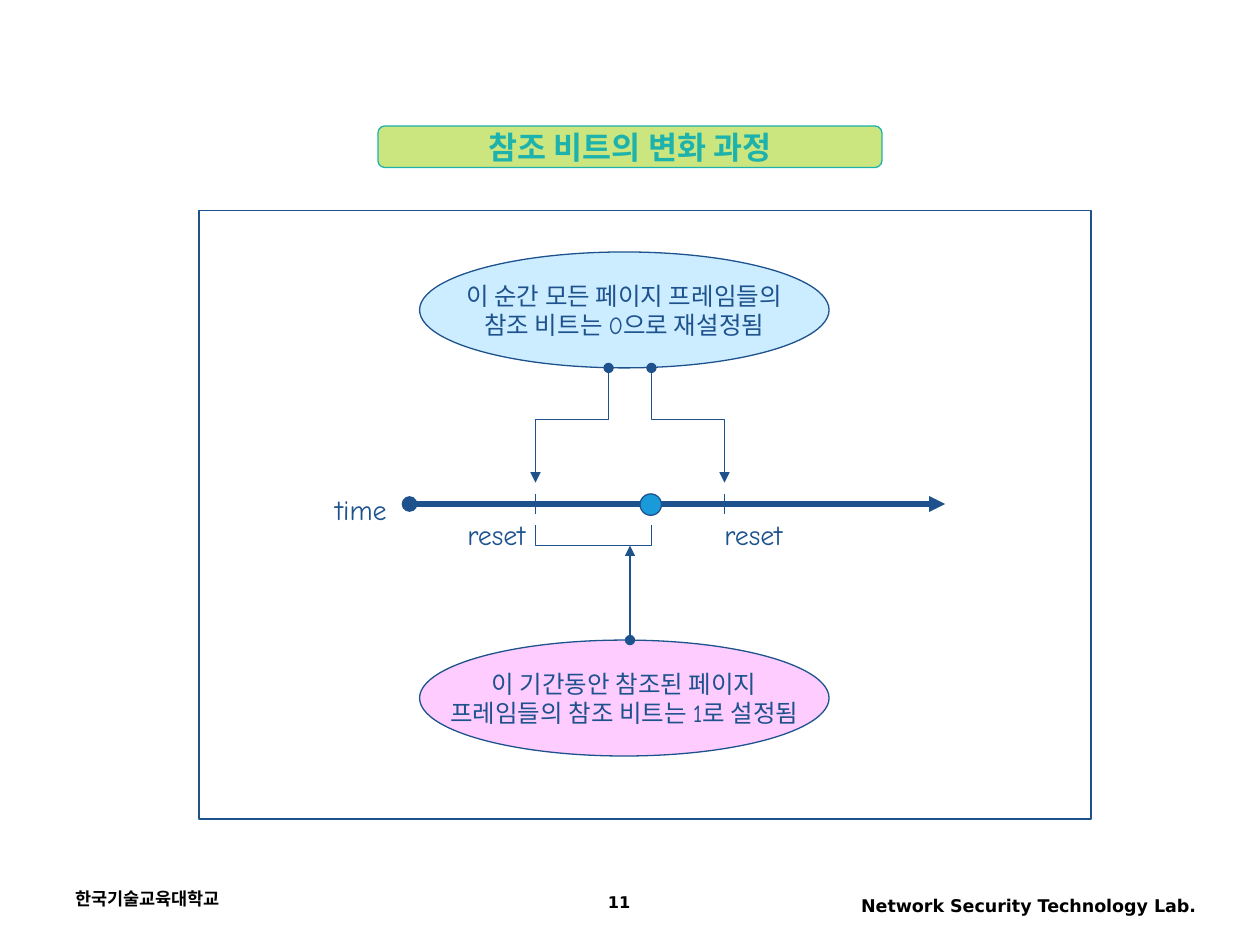
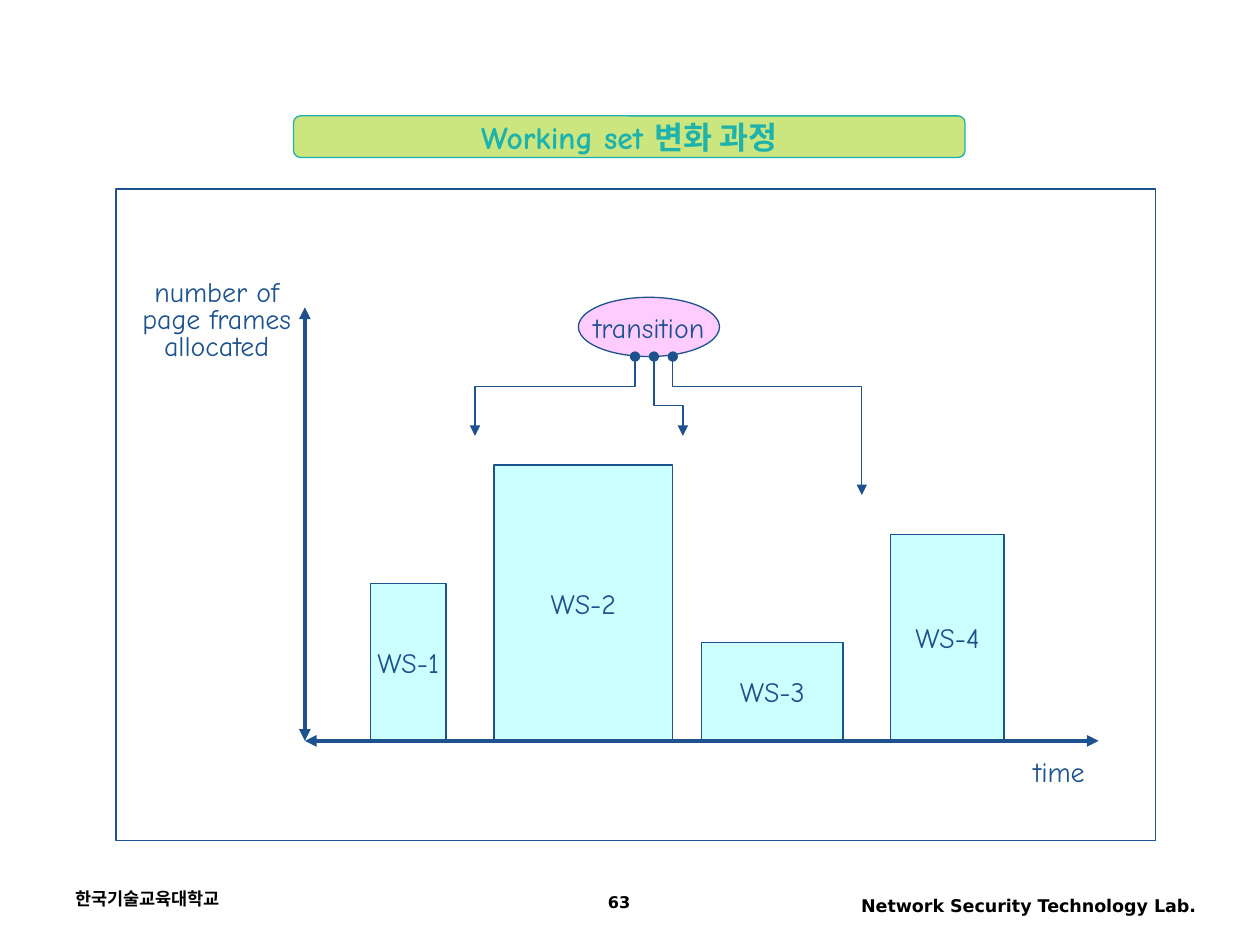
from pptx import Presentation
from pptx.dml.color import RGBColor
from pptx.enum.shapes import MSO_CONNECTOR, MSO_SHAPE
from pptx.enum.text import MSO_ANCHOR, MSO_AUTO_SIZE, PP_ALIGN
from pptx.oxml.ns import qn
from pptx.util import Inches, Pt
from lxml import etree

RECT = MSO_SHAPE.RECTANGLE
OVAL = MSO_SHAPE.OVAL
DOT = MSO_SHAPE.FLOWCHART_CONNECTOR
BAND = MSO_SHAPE.FLOWCHART_ALTERNATE_PROCESS
STRAIGHT = MSO_CONNECTOR.STRAIGHT
LEFT, CENTER, RIGHT = PP_ALIGN.LEFT, PP_ALIGN.CENTER, PP_ALIGN.RIGHT
MIDDLE = MSO_ANCHOR.MIDDLE
FIT, FIXED = MSO_AUTO_SIZE.SHAPE_TO_FIT_TEXT, MSO_AUTO_SIZE.NONE

NAVY, TEAL, LIME, BLACK, WHITE = "1D528D", "1DB3AC", "99CC00", "000000", "FFFFFF"
SKY, PINK, AQUA, BLUE = "CCECFF", "FFCCFF", "CCFFFF", "1B9AD9"
HAND, SANS, NARROW = "Comic Neue", "DejaVu Sans", "Arial Narrow"


def color(code):
    return RGBColor.from_string(code)


class Deck:
    """Hold the shared style and the current slide."""

    def __init__(self):
        self.prs = Presentation()
        self.prs.slide_width, self.prs.slide_height = Inches(10), Inches(7.5)
        self.slide = None

    def page(self, number, title, font, band, frame):
        self.slide = self.prs.slides.add_slide(self.prs.slide_layouts[5])
        self.foot((0.5, 7, 2.33, 0.33), "한국기술교육대학교", LEFT)
        self.foot((6.42, 7.05, 3.17, 0.32), "Network Security Technology Lab.", RIGHT)
        self.foot((3.75, 7.05, 2.33, 0.28), number, CENTER, 9.2, 0.9)
        self.shape(RECT, frame, WHITE)
        self.title(title, font, band)

    def put(self, frame, lines, size=16, font=HAND, ink=NAVY, bold=False,
            align=CENTER, space=None):
        for i, line in enumerate(lines):
            para = frame.paragraphs[0] if i == 0 else frame.add_paragraph()
            para.alignment = align
            para.line_spacing = space
            run = para.add_run()
            run.text = line
            run.font.size, run.font.name, run.font.bold = Pt(size), font, bold
            run.font.color.rgb = color(ink)

    def box(self, place):
        return self.slide.shapes.add_textbox(*map(Inches, place)).text_frame

    def foot(self, place, text, align, size=10, space=None):
        frame = self.box(place)
        frame.word_wrap = True
        self.put(frame, [text], size, SANS, BLACK, True, align, space)

    def label(self, place, *lines, space=None):
        frame = self.box(place)
        frame.word_wrap = False
        frame.auto_size = FIT
        self.put(frame, lines, space=space)

    def title(self, text, font, place):
        band = self.shape(BAND, place, LIME, ink=TEAL)
        tint = band.element.spPr.find(qn("a:solidFill"))[0]
        etree.SubElement(tint, qn("a:alpha")).set("val", "50000")
        head = self.slide.shapes.title
        head.left, head.top, head.width, head.height = map(Inches, place)
        head.element.getparent().append(head.element)
        frame = head.text_frame
        frame.auto_size = FIXED
        frame.word_wrap = False
        frame.vertical_anchor = MIDDLE
        self.put(frame, [text], 18, font, TEAL, True)

    def shape(self, kind, place, fill, lines=(), size=16, ink=NAVY):
        item = self.slide.shapes.add_shape(kind, *map(Inches, place))
        item.shadow.inherit = False
        item.fill.solid()
        item.fill.fore_color.rgb = color(fill)
        self.stroke(item, ink=ink)
        item.text_frame.word_wrap = False
        item.text_frame.vertical_anchor = MIDDLE
        self.put(item.text_frame, lines, size)
        return item

    def stroke(self, item, width=0.75, head=None, tail=None, ink=NAVY):
        item.line.color.rgb = color(ink)
        item.line.width = Pt(width)
        edge = item.element.spPr.find(qn("a:ln"))
        for tag, kind in (("a:headEnd", head), ("a:tailEnd", tail)):
            if kind:
                etree.SubElement(edge, qn(tag)).set("type", kind)

    def line(self, start, end, width=0.75, head=None, tail=None):
        item = self.slide.shapes.add_connector(STRAIGHT, *map(Inches, start + end))
        self.stroke(item, width, head, tail)
        etree.SubElement(item.element.spPr, qn("a:effectLst"))

    def bend(self, points, head=None, tail=None):
        first, *rest = [(Inches(x), Inches(y)) for x, y in points]
        pen = self.slide.shapes.build_freeform(*first)
        pen.add_line_segments(rest, close=False)
        item = pen.convert_to_shape()
        item.shadow.inherit = False
        item.fill.background()
        self.stroke(item, head=head, tail=tail)

    def elbow(self, start, turn, end):
        self.bend([start, (start[0], turn), (end[0], turn), end], "oval", "triangle")


def bits(deck):
    deck.page("11", "참조 비트의 변화 과정", NARROW,
              (3, 1, 4, 0.33), (1.58, 1.67, 7.08, 4.83))
    notes = (
        (2, SKY, ("이 순간 모든 페이지 프레임들의", "참조 비트는 0으로 재설정됨")),
        (5.08, PINK, ("이 기간동안 참조된 페이지", "프레임들의 참조 비트는 1로 설정됨")),
    )
    for top, fill, lines in notes:
        deck.shape(OVAL, (3.33, top, 3.25, 0.92), fill, lines, 14)
    deck.line((3.25, 4), (7.5, 4), 3, "oval", "triangle")
    for start, tick, left in ((4.83, 4.25, 3.61), (5.17, 5.75, 5.65)):
        deck.line((tick, 3.92), (tick, 4.08))
        deck.label((left, 4.06, 0.66, 0.37), "reset")
        deck.elbow((start, 2.92), 3.33, (tick, 3.83))
    deck.shape(DOT, (5.08, 3.92, 0.17, 0.17), BLUE)
    deck.bend([(4.25, 4.17), (4.25, 4.33), (5.17, 4.33), (5.17, 4.17)])
    deck.line((5, 5.08), (5, 4.33), head="oval", tail="triangle")
    deck.label((2.56, 3.86, 0.61, 0.37), "time")


def sets(deck):
    deck.page("63", "Working set 변화 과정", HAND,
              (2.33, 0.92, 5.33, 0.33), (0.92, 1.5, 8.25, 5.17))
    base = 5.88
    bars = ((2.94, 0.6, 1.25), (3.92, 1.42, 2.19), (5.57, 1.12, 0.78), (7.07, 0.9, 1.64))
    for i, (left, width, height) in enumerate(bars, 1):
        deck.shape(RECT, (left, base - height, width, height), AQUA, [f"WS-{i}"])
    for end in ((2.42, 2.44), (8.72, base)):
        deck.line((2.42, base), end, 2.25, "triangle", "triangle")
    deck.label((8.1, 5.94, 0.61, 0.37), "time")
    deck.label((1.03, 2.18, 1.38, 0.74), "number of", "page frames", "allocated", space=0.8)
    deck.shape(OVAL, (4.59, 2.36, 1.12, 0.47), PINK, ["transition"])
    moves = ((5.04, 3.07, (3.77, 3.46)), (5.19, 3.22, (5.42, 3.46)), (5.34, 3.07, (6.84, 3.93)))
    for start, turn, end in moves:
        deck.elbow((start, 2.83), turn, end)


def main():
    deck = Deck()
    bits(deck)
    sets(deck)
    deck.prs.save("out.pptx")


if __name__ == "__main__":
    main()
